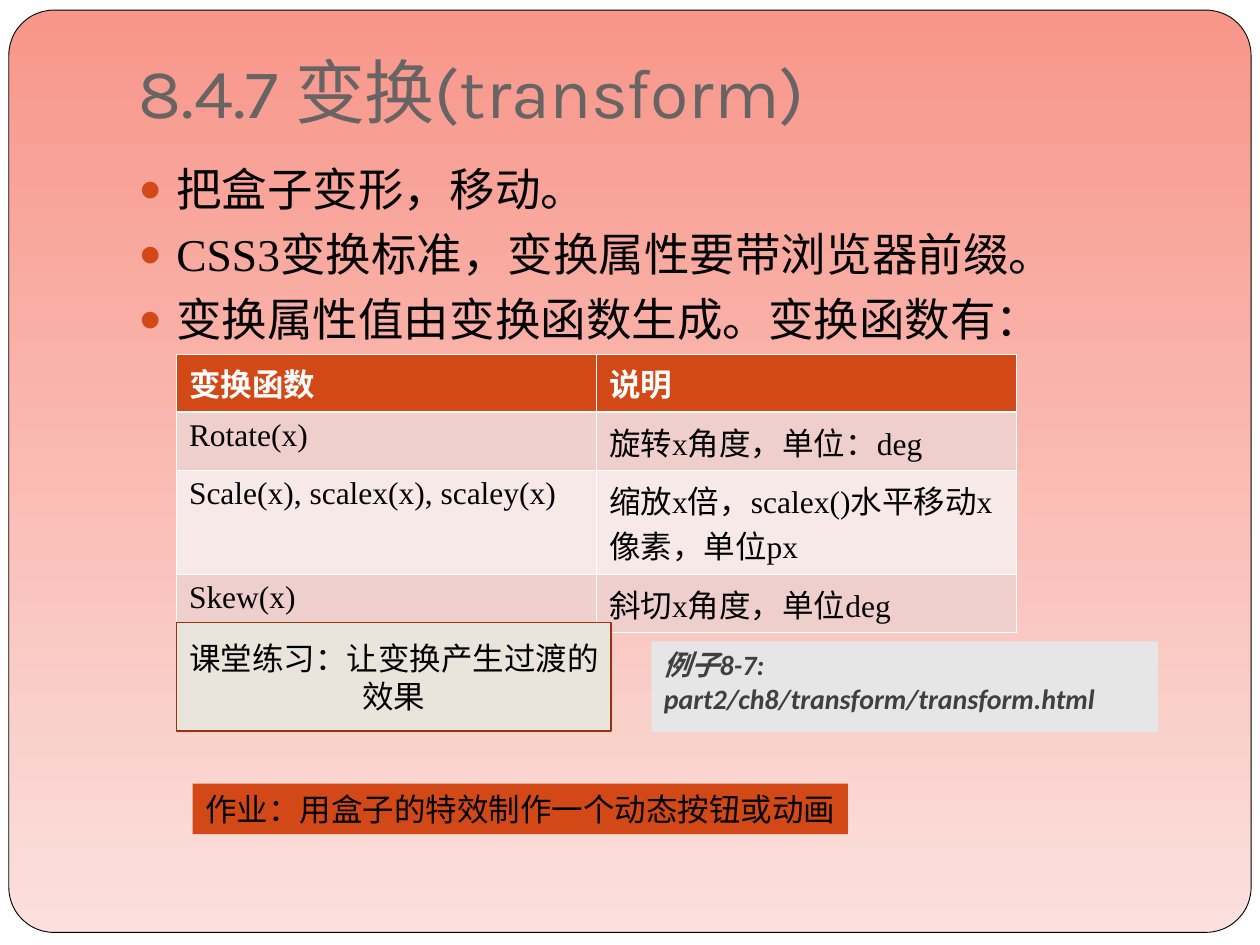
from lxml import etree
from pptx import Presentation
from pptx.dml.color import RGBColor
from pptx.enum.shapes import MSO_SHAPE
from pptx.enum.text import MSO_ANCHOR, MSO_AUTO_SIZE, PP_ALIGN
from pptx.oxml.ns import qn
from pptx.util import Inches, Pt

RECT, ROUND = MSO_SHAPE.RECTANGLE, MSO_SHAPE.ROUNDED_RECTANGLE
TOP, MID, LOW = MSO_ANCHOR.TOP, MSO_ANCHOR.MIDDLE, MSO_ANCHOR.BOTTOM
LEFT, CENTER = PP_ALIGN.LEFT, PP_ALIGN.CENTER
FIXED, GROW = MSO_AUTO_SIZE.NONE, MSO_AUTO_SIZE.SHAPE_TO_FIT_TEXT

WHITE = RGBColor(0xFF, 0xFF, 0xFF)
BLACK = RGBColor(0, 0, 0)
CORAL = RGBColor(0xF8, 0x96, 0x8A)
BLUSH = RGBColor(0xFB, 0xE0, 0xDD)
GRAY = RGBColor(0x69, 0x64, 0x64)
DARK = RGBColor(0x40, 0x40, 0x40)
ORANGE = RGBColor(0xD3, 0x48, 0x17)
RUST = RGBColor(0x9B, 0x32, 0x0E)
SAND = RGBColor(0xE9, 0xE5, 0xDC)
SILVER = RGBColor(0xE7, 0xE6, 0xE6)
ROSE = RGBColor(0xEF, 0xCF, 0xCC)
PALE = RGBColor(0xF7, 0xE9, 0xE7)

SERIF = "Times New Roman"
POINTS = [
    "把盒子变形，移动。",
    "CSS3变换标准，变换属性要带浏览器前缀。",
    "变换属性值由变换函数生成。变换函数有：",
]
ROWS = [
    ("变换函数", "说明"),
    ("Rotate(x)", "旋转x角度，单位：deg"),
    ("Scale(x), scalex(x), scaley(x)", "缩放x倍，scalex()水平移动x像素，单位px"),
    ("Skew(x)", "斜切x角度，单位deg"),
]
HEIGHTS = [0.4, 0.41, 0.7, 0.4]


def add_run(para, text, size, font=SERIF, color=BLACK, bold=False, italic=False):
    run = para.add_run()
    run.text = text
    face = run.font
    face.name, face.size = font, Pt(size)
    face.bold, face.italic = bold, italic
    face.color.rgb = color


def place(shape, left, top, width, height):
    shape.left, shape.top = Inches(left), Inches(top)
    shape.width, shape.height = Inches(width), Inches(height)


def add_panel(slide):
    panel = slide.shapes.add_shape(
        ROUND, Inches(0.07), Inches(0.08), Inches(9.86), Inches(7.32))
    panel.adjustments[0] = 0.049
    panel.shadow.inherit = False
    panel.fill.gradient()
    panel.fill.gradient_angle = 270
    for stop, color in zip(panel.fill.gradient_stops, (CORAL, BLUSH)):
        stop.color.rgb = color
    panel.line.color.rgb = BLACK
    panel.line.width = Pt(0.5)
    # Send the panel behind the placeholders
    slide.shapes._spTree.insert(2, panel._element)


def add_title(slide):
    title = slide.shapes.title
    place(title, 1, 0.3, 8.5, 0.85)
    frame = title.text_frame
    frame.auto_size = FIXED
    frame.vertical_anchor = LOW
    frame.margin_bottom = Inches(0.1)
    para = frame.paragraphs[0]
    para.alignment = LEFT
    add_run(para, "8.4.7 变换(transform)", 40, "Karla", GRAY)


def add_bullet(para):
    props = para._p.get_or_add_pPr()
    props.set("marL", str(Inches(0.3)))
    props.set("indent", str(-Inches(0.3)))
    tint = etree.SubElement(props, qn("a:buClr"))
    etree.SubElement(tint, qn("a:srgbClr"), val=str(ORANGE))
    etree.SubElement(props, qn("a:buSzPct"), val="85000")
    etree.SubElement(props, qn("a:buChar"), char="●")


def add_list(slide):
    body = slide.placeholders[1]
    place(body, 1, 1.23, 8.5, 5.35)
    frame = body.text_frame
    frame.auto_size = FIXED
    frame.vertical_anchor = TOP
    for i, text in enumerate(POINTS):
        para = frame.add_paragraph() if i else frame.paragraphs[0]
        add_bullet(para)
        para.space_before = Pt(5.8 if i else 0)
        add_run(para, text, 26)


def add_edge(cell, side, width):
    props = cell._tc.get_or_add_tcPr()
    line = etree.SubElement(props, qn("a:ln" + side), w=str(Pt(width)))
    fill = etree.SubElement(line, qn("a:solidFill"))
    etree.SubElement(fill, qn("a:srgbClr"), val=str(WHITE))


def add_grid(slide):
    table = slide.shapes.add_table(
        len(ROWS), 2, Inches(1.4), Inches(2.81),
        Inches(6.67), Inches(sum(HEIGHTS))).table
    for r, row in enumerate(ROWS):
        table.rows[r].height = Inches(HEIGHTS[r])
        head = r == 0
        for c, text in enumerate(row):
            cell = table.cell(r, c)
            for side in "LRTB":
                thick = (r, side) in ((0, "B"), (1, "T"))
                add_edge(cell, side, 1.47 if thick else 0.45)
            cell.fill.solid()
            cell.fill.fore_color.rgb = ORANGE if head else (PALE, ROSE)[r % 2]
            add_run(cell.text_frame.paragraphs[0], text, 18,
                    color=WHITE if head else BLACK, bold=head)


def add_box(slide, spot, fill, line=None, anchor=TOP, align=LEFT, wrap=True):
    box = slide.shapes.add_shape(RECT, *[Inches(n) for n in spot])
    box.shadow.inherit = False
    box.fill.solid()
    box.fill.fore_color.rgb = fill
    if line is None:
        box.line.fill.background()
    else:
        box.line.color.rgb = line
        box.line.width = Pt(1)
    frame = box.text_frame
    frame.word_wrap = wrap
    frame.auto_size = FIXED if wrap else GROW
    frame.vertical_anchor = anchor
    para = frame.paragraphs[0]
    para.alignment = align
    return para


def main():
    deck = Presentation()
    deck.slide_width, deck.slide_height = Inches(10), Inches(7.5)
    slide = deck.slides.add_slide(deck.slide_layouts[1])
    slide.background.fill.solid()
    slide.background.fill.fore_color.rgb = WHITE

    # Frame, heading, list and table
    add_panel(slide)
    add_title(slide)
    add_list(slide)
    add_grid(slide)

    # Exercise, homework and example boxes
    task = add_box(slide, (1.4, 4.94, 3.45, 0.86), SAND, RUST, MID, CENTER)
    add_run(task, "课堂练习：让变换产生过渡的效果", 18)
    work = add_box(slide, (1.53, 6.22, 5.2, 0.4), ORANGE, wrap=False)
    add_run(work, "作业：用盒子的特效制作一个动态按钮或动画", 18, "Arial")
    demo = add_box(slide, (5.17, 5.09, 4.02, 0.72), SILVER)
    add_run(demo, "例子8-7: part2/ch8/transform/transform.html", 16,
            "Calibri", DARK, True, True)

    deck.save("out.pptx")


if __name__ == "__main__":
    main()
